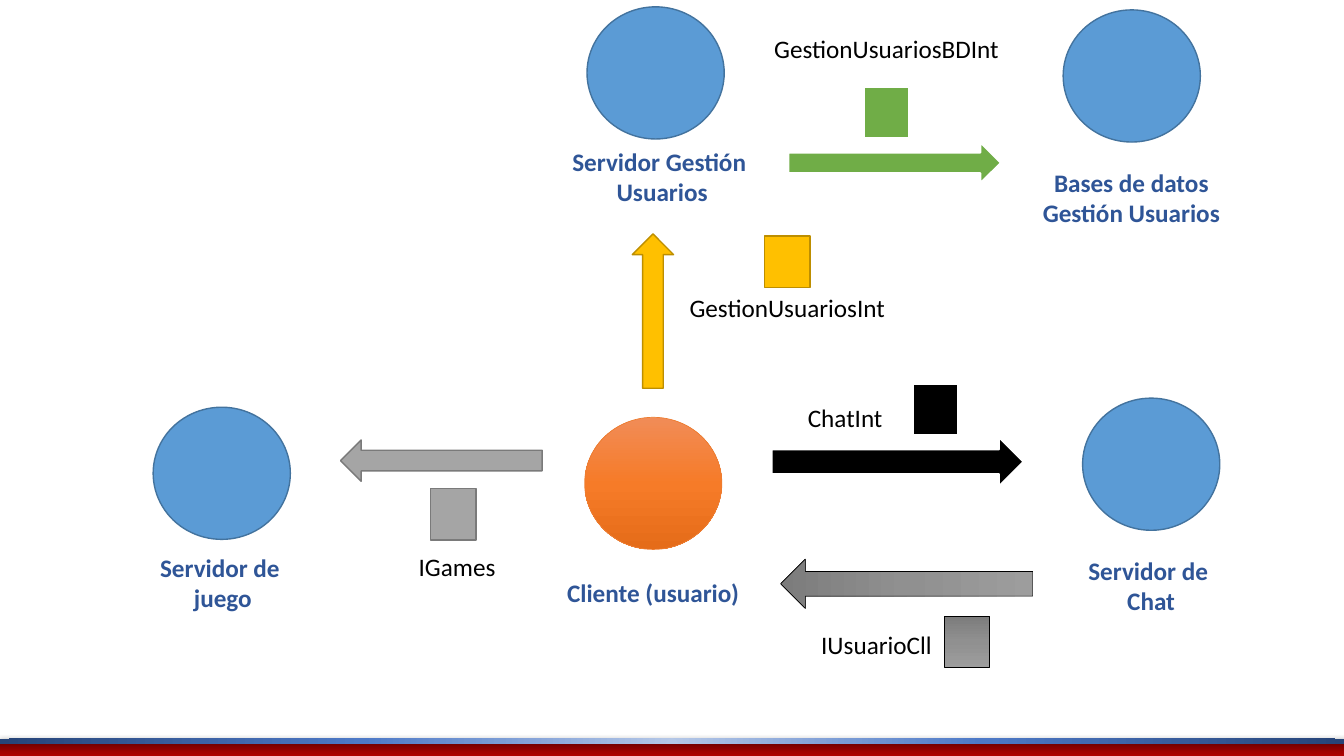
from dataclasses import dataclass

from lxml.etree import SubElement
from pptx import Presentation
from pptx.dml.color import RGBColor
from pptx.enum.shapes import MSO_SHAPE
from pptx.enum.text import MSO_ANCHOR, MSO_AUTO_SIZE, PP_ALIGN
from pptx.oxml.ns import qn
from pptx.util import Pt


@dataclass(frozen=True)
class Theme:
    font: str = "Calibri"
    size: float = 18
    ink: str = "000000"
    title: str = "2F5597"
    node: tuple = ("5B9BD5", "43739E", 1)
    client: tuple = (((0, "F18C57"), (50, "F67B28"), (100, "E56C19")), "ED7D31", 0.5)
    gold: tuple = ("FFC000", "BD8E00", 1)
    black: tuple = ("000000", "FFFFFF", 1.5)
    gray: tuple = ("A5A5A5", "7A7A7A", 1)
    green: tuple = ("70AD47", "FFFFFF", 1.5)
    steel: tuple = (((0, "9D9D9D"), (50, "909090"), (100, "7C7C7C")), "000000", 0.5)
    blue: tuple = (((0, "B4C7E7"), (46, "4D79C7"), (100, "264478")), None, 0)
    red: tuple = (((0, "740000"), (50, "A40000"), (100, "C30000")), None, 0)


THEME = Theme()


def add_node(parent, tag, **attrs):
    return SubElement(parent, qn(tag), {k: str(v) for k, v in attrs.items()})


def set_grad(shape, stops, glow):
    shape.fill.solid()
    props = shape._element.spPr
    solid = props.find(qn("a:solidFill"))
    grad = add_node(props, "a:gradFill", rotWithShape=1)
    props.replace(solid, grad)
    group = add_node(grad, "a:gsLst")
    for place, color in stops:
        stop = add_node(group, "a:gs", pos=place * 1000)
        add_node(stop, "a:srgbClr", val=color)
    if glow:
        way = add_node(grad, "a:path", path="circle")
        add_node(way, "a:fillToRect", l=50000, t=130000, r=50000, b=-30000)
    else:
        add_node(grad, "a:lin", ang=5400000, scaled=0)


def add_shade(shape):
    effects = shape._element.spPr.find(qn("a:effectLst"))
    shade = add_node(effects, "a:outerShdw", blurRad=Pt(4.5), dist=Pt(1.5),
                     dir=5400000, algn="ctr", rotWithShape=0)
    color = add_node(shade, "a:srgbClr", val="000000")
    add_node(color, "a:alpha", val=63000)


def add_form(slide, kind, box, style, turn=0, glow=False):
    shape = slide.shapes.add_shape(kind, *(Pt(v) for v in box))
    shape.rotation = turn
    fill, line, width = style
    if isinstance(fill, str):
        shape.fill.solid()
        shape.fill.fore_color.rgb = RGBColor.from_string(fill)
    else:
        set_grad(shape, fill, glow)
    if line:
        shape.line.color.rgb = RGBColor.from_string(line)
        shape.line.width = Pt(width)
    else:
        shape.line.fill.background()
    shape.shadow.inherit = False
    return shape


def add_text(slide, text, left, top, width, color=THEME.ink, bold=False):
    lines = text.split("\n")
    high = 28.8 if len(lines) == 1 else 51
    frame = slide.shapes.add_textbox(Pt(left), Pt(top), Pt(width), Pt(high)).text_frame
    frame.word_wrap = False
    frame.auto_size = MSO_AUTO_SIZE.SHAPE_TO_FIT_TEXT
    frame.vertical_anchor = MSO_ANCHOR.TOP
    frame.text = text
    for para in frame.paragraphs:
        para.alignment = PP_ALIGN.CENTER
        for run in para.runs:
            font = run.font
            font.name, font.size, font.bold = THEME.font, Pt(THEME.size), bold
            font.color.rgb = RGBColor.from_string(color)


def add_circle(slide, left, top, style, text, spot):
    add_form(slide, MSO_SHAPE.OVAL, (left, top, 98, 94.4), style)
    add_text(slide, text, *spot, color=THEME.title, bold=True)


def add_arrow(slide, mid_x, mid_y, thick, length, turn, style):
    box = (mid_x - thick / 2, mid_y - length / 2, thick, length)
    add_form(slide, MSO_SHAPE.DOWN_ARROW, box, style, turn)


def add_link(slide, style, arrow, square, text, spot, turn=0):
    add_arrow(slide, *arrow, style)
    add_form(slide, MSO_SHAPE.RECTANGLE, (*square, 32.4, 36.7), style, turn)
    add_text(slide, text, *spot)


def main():
    deck = Presentation()
    deck.slide_width, deck.slide_height = Pt(960), Pt(540)
    slide = deck.slides.add_slide(deck.slide_layouts[6])

    band = add_form(slide, MSO_SHAPE.RECTANGLE, (0, 527.8, 960, 3.6), THEME.blue, glow=True)
    add_shade(band)
    add_form(slide, MSO_SHAPE.RECTANGLE, (0, 531.4, 960, 12.2), THEME.red)

    circles = [
        (417.6, 298.1, THEME.client, "Cliente (usuario)", (397.4, 409, 138.2)),
        (419.3, 4.9, THEME.node, "Servidor Gestión \nUsuarios", (401, 100.8, 144)),
        (759.4, 7.1, THEME.node, "Bases de datos\nGestión Usuarios", (737.3, 115.9, 141.8)),
        (773.3, 284.4, THEME.node, "Servidor de \nChat", (769.7, 393.1, 105.1)),
        (109.4, 290.9, THEME.node, "Servidor de \njuego", (106.6, 391, 105.1)),
    ]
    for circle in circles:
        add_circle(slide, *circle)

    links = [
        (THEME.black, (641.2, 329.8, 35.3, 180, 270), (652.3, 274.3),
         "ChatInt", (569.5, 283.7, 68.4)),
        (THEME.gold, (466.4, 222.2, 29.5, 110.2, 180), (546.2, 168.5),
         "GestionUsuariosInt", (484.6, 205.2, 155.5)),
        (THEME.gray, (315.2, 329, 29.5, 144, 90), (307.5, 349),
         "IGames", (291.6, 390.2, 69.8)),
        (THEME.green, (639, 116.3, 29.5, 151.9, 270), (617, 61.9),
         "GestionUsuariosBDInt", (545, 20.2, 176.4)),
        (THEME.steel, (647.6, 417, 35.3, 180, 90), (674.6, 440),
         "IUsuarioCll", (578.9, 445.7, 94.3), 180),
    ]
    for link in links:
        add_link(slide, *link)

    deck.save("out.pptx")


if __name__ == "__main__":
    main()
